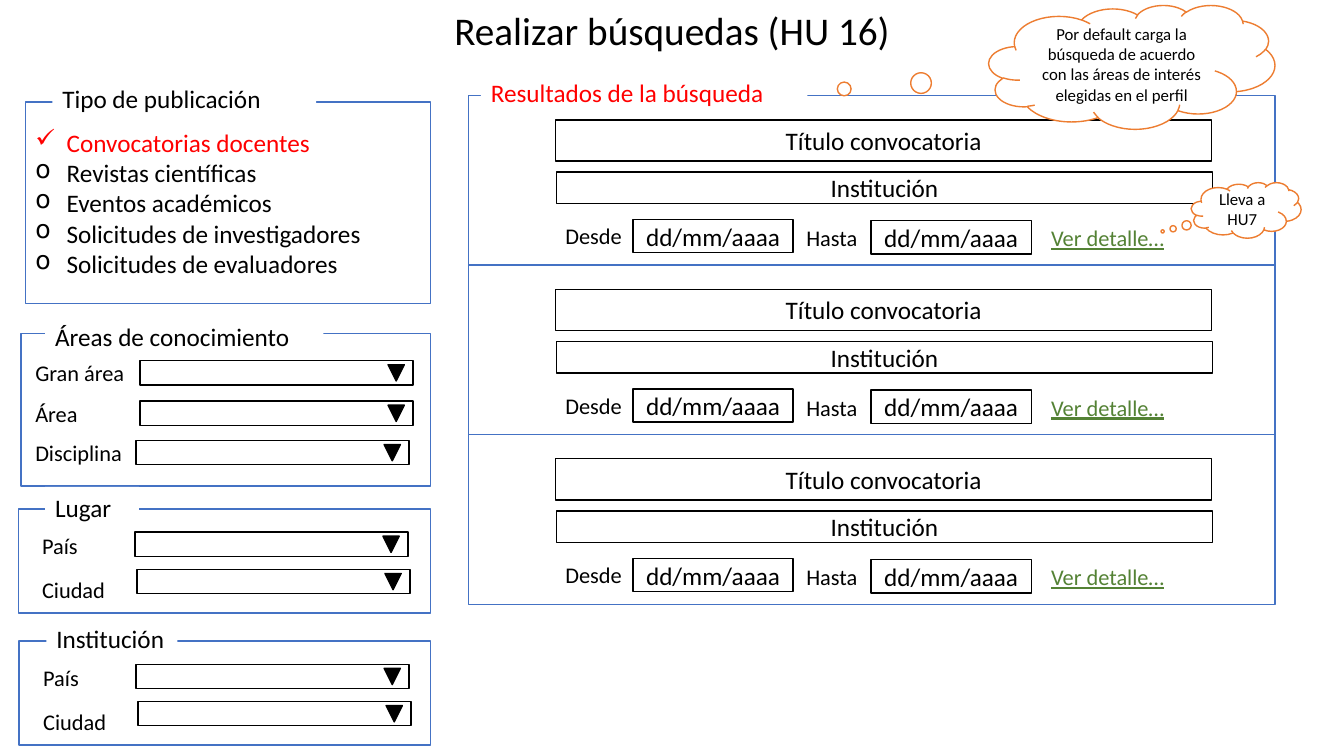
"""Build the search screen mock-up slide with its filters, results and notes."""
from lxml import etree
from pptx import Presentation
from pptx import util as u
from pptx.dml.color import RGBColor
from pptx.enum import shapes, text
from pptx.oxml.ns import qn

BLACK, WHITE, RED = "000000", "FFFFFF", "FF0000"
BLUE, ORANGE, GREEN = "4472C4", "ED7D31", "548235"
CENTER = text.PP_ALIGN.CENTER
LEFT = text.PP_ALIGN.LEFT
PANEL_RIGHT = 10.85


def color(value):
    """Turn a hex string into a colour."""
    return RGBColor.from_string(value)


class Mockup:
    """Hold the style and the current slide."""

    font = "Calibri"
    line_width = u.Pt(1)

    def __init__(self, slide):
        """Keep the slide to draw on."""
        self.slide = slide

    def set_text(self, shape, lines, size, ink, align):
        """Put the lines into a shape, one paragraph each."""
        frame = shape.text_frame
        frame.text = "\n".join(lines)
        for paragraph in frame.paragraphs:
            paragraph.alignment = align
            paragraph.font.name = self.font
            paragraph.font.size = u.Pt(size)
            paragraph.font.color.rgb = color(ink)

    def shape(self, kind, x, y, width, height, line, fill=WHITE, parent=None):
        """Add a filled and outlined preset shape."""
        shape = (parent or self.slide).shapes.add_shape(
            kind, u.Cm(x), u.Cm(y), u.Cm(width), u.Cm(height))
        shape.shadow.inherit = False
        shape.fill.solid()
        shape.fill.fore_color.rgb = color(fill)
        shape.line.color.rgb = color(line)
        shape.line.width = self.line_width
        return shape

    def box(self, x, y, width, height, line=BLACK, label="", parent=None):
        """Add a white rectangle with an optional centred label."""
        shape = self.shape(shapes.MSO_SHAPE.RECTANGLE, x, y, width, height, line, parent=parent)
        if label:
            shape.text_frame.vertical_anchor = text.MSO_ANCHOR.MIDDLE
            self.set_text(shape, [label], 18, BLACK, CENTER)
        return shape

    def label(self, words, x, y, width, height=0.94, size=16, ink=BLACK,
              align=LEFT, fill=None, wrap=True):
        """Add a text box that grows with its text."""
        shape = self.slide.shapes.add_textbox(u.Cm(x), u.Cm(y), u.Cm(width), u.Cm(height))
        shape.text_frame.word_wrap = wrap
        shape.text_frame.auto_size = text.MSO_AUTO_SIZE.SHAPE_TO_FIT_TEXT
        if fill:
            shape.fill.solid()
            shape.fill.fore_color.rgb = color(fill)
        self.set_text(shape, [words], size, ink, align)
        return shape

    def heading(self, words, x, y, width, ink=BLACK):
        """Add a heading that interrupts the frame behind it."""
        self.label(words, x, y, width, 1.02, 18, ink, fill=WHITE)

    def panel(self, words, x, y, height, heading_x, heading_y, heading_width):
        """Add a filter panel with its heading."""
        frame = self.box(x, y, PANEL_RIGHT - x, height, BLUE)
        self.heading(words, heading_x, heading_y, heading_width)
        return frame

    def options(self, frame, words, chosen):
        """Fill a panel with a bulleted list of options."""
        frame.text_frame.vertical_anchor = text.MSO_ANCHOR.MIDDLE
        self.set_text(frame, words, 18, BLACK, LEFT)
        for paragraph in frame.text_frame.paragraphs:
            picked = paragraph.text == chosen
            if picked:
                paragraph.font.color.rgb = color(RED)
            properties = paragraph._p.get_or_add_pPr()
            properties.set("marL", str(u.Cm(0.79)))
            properties.set("indent", str(-u.Cm(0.79)))
            bullet = etree.Element(qn("a:buChar"), char="✓" if picked else "o")
            properties.insert_element_before(bullet, "a:tabLst", "a:defRPr", "a:extLst")

    def dropdown(self, x, y):
        """Add a grouped drop-down list."""
        group = self.slide.shapes.add_group_shape()
        self.box(x, y, 6.88, 0.61, parent=group)
        arrow = self.shape(shapes.MSO_SHAPE.ISOSCELES_TRIANGLE, x + 6.25, y + 0.1,
                           0.41, 0.41, BLACK, BLACK, group)
        arrow.rotation = 180

    def result(self, y):
        """Add one search result."""
        self.box(11.81, y, 20.32, 4.29, BLUE)
        self.box(14.02, y + 1.93, 16.54, 0.79, label="Institución")
        self.box(14, y + 0.61, 16.54, 1.04, label="Título convocatoria")
        self.label("Desde", 14, y + 3.07, 1.96, wrap=False)
        self.label("Hasta", 20.07, y + 3.12, 1.8, wrap=False)
        for x, offset in ((21.95, 3.15), (15.95, 3.12)):
            self.box(x, y + offset, 4.04, 0.84, label="dd/mm/aaaa")
        link = self.label("Ver detalle…", 26.24, y + 3.12, 3.43, ink=GREEN, fill=WHITE, wrap=False)
        link.text_frame.paragraphs[0].font.underline = True

    def cloud(self, words, x, y, width, height, tail):
        """Add a thought cloud whose tail is given as adjustments."""
        shape = self.shape(shapes.MSO_SHAPE.CLOUD_CALLOUT, x, y, width, height, ORANGE)
        for index, value in enumerate(tail):
            shape.adjustments[index] = value
        shape.text_frame.vertical_anchor = text.MSO_ANCHOR.MIDDLE
        self.set_text(shape, [words], 12, BLACK, CENTER)


presentation = Presentation()
presentation.slide_width, presentation.slide_height = u.Cm(33.87), u.Cm(19.05)
mockup = Mockup(presentation.slides.add_slide(presentation.slide_layouts[6]))

mockup.label("Realizar búsquedas (HU 16)", 0, 0.03, 33.87, 1.45, 28, align=CENTER)

publication_types = mockup.panel("Tipo de publicación", 0.64, 2.57, 5.08, 1.32, 1.98, 6.65)
mockup.options(publication_types, [
    "Convocatorias docentes", "Revistas científicas", "Eventos académicos",
    "Solicitudes de investigadores", "Solicitudes de evaluadores",
], "Convocatorias docentes")

FILTERS = [
    (("Áreas de conocimiento", 0.53, 8.41, 3.84, 1.14, 7.98, 7.01), 0.64, 3.25,
     [("Gran área", 8.92, 3.53, 9.09), ("Área", 9.96, 3.53, 10.11),
      ("Disciplina", 10.95, 3.43, 11.1)]),
    (("Lugar", 0.46, 12.83, 2.62, 1.14, 12.27, 2.36), 0.81, 2.54,
     [("País", 13.28, 3.4, 13.41), ("Ciudad", 14.4, 3.45, 14.35)]),
    (("Institución", 0.48, 16.15, 2.62, 1.17, 15.57, 3.3), 0.84, 2.54,
     [("País", 16.61, 3.43, 16.74), ("Ciudad", 17.73, 3.48, 17.68)]),
]
for panel, label_x, label_width, fields in FILTERS:
    mockup.panel(*panel)
    for name, label_y, list_x, list_y in fields:
        mockup.label(name, label_x, label_y, label_width)
        mockup.dropdown(list_x, list_y)

for row in range(3):
    mockup.result(2.41 + 4.27 * row)
mockup.cloud("Por default carga la búsqueda de acuerdo con las áreas de interés "
             "elegidas en el perfil", 24.92, 0.13, 7.21, 3.12, (-1.25, 0.22))
mockup.heading("Resultados de la búsqueda", 12.12, 1.83, 8.23, RED)
mockup.cloud("Lleva a HU7", 30.02, 4.6, 2.77, 1.4, (-0.76, 0.38))

presentation.save("out.pptx")
